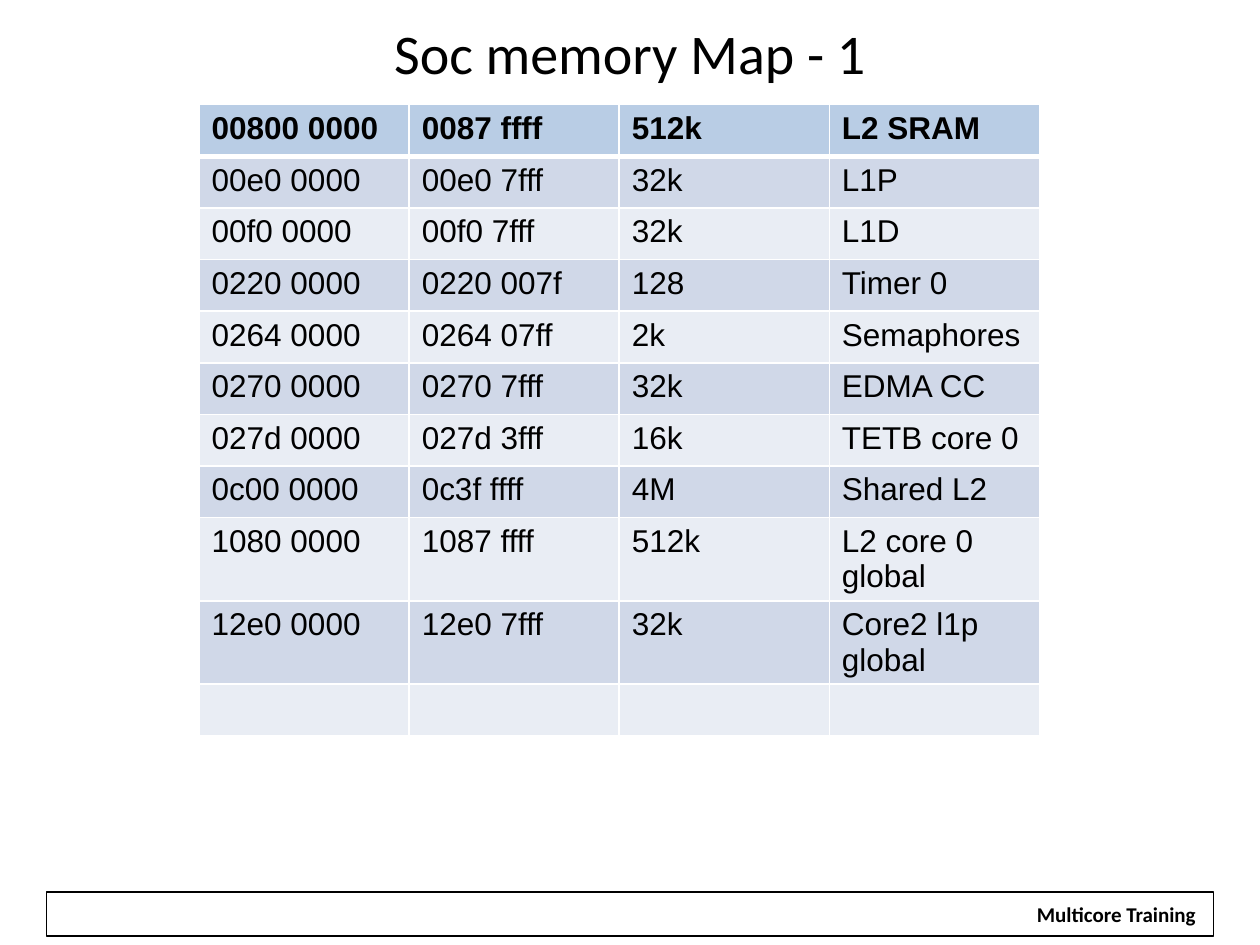
"""Build the SoC memory map slide."""
from typing import NamedTuple

from lxml.etree import SubElement
from pptx import Presentation
from pptx.dml.color import RGBColor
from pptx.enum.shapes import MSO_SHAPE
from pptx.enum.text import MSO_ANCHOR, PP_ALIGN
from pptx.oxml.ns import qn
from pptx.util import Inches, Pt

COLORS = {
    "text": "000000",
    "white": "FFFFFF",
    "header": "B9CDE5",
    "odd": "D0D8E8",
    "even": "E9EDF4",
}


class Region(NamedTuple):
    start: str
    end: str
    size: str
    name: str


REGIONS = [
    Region("00800 0000", "0087 ffff", "512k", "L2 SRAM"),
    Region("00e0 0000", "00e0 7fff", "32k", "L1P"),
    Region("00f0 0000", "00f0 7fff", "32k", "L1D"),
    Region("0220 0000", "0220 007f", "128", "Timer 0"),
    Region("0264 0000", "0264 07ff", "2k", "Semaphores"),
    Region("0270 0000", "0270 7fff", "32k", "EDMA CC"),
    Region("027d 0000", "027d 3fff", "16k", "TETB core 0"),
    Region("0c00 0000", "0c3f ffff", "4M", "Shared L2"),
    Region("1080 0000", "1087 ffff", "512k", "L2 core 0 global"),
    Region("12e0 0000", "12e0 7fff", "32k", "Core2 l1p global"),
    Region("", "", "", ""),
]


def color(name: str) -> RGBColor:
    return RGBColor.from_string(COLORS[name])


def write(frame, text: str, *, size: float, font: str = "Calibri",
          bold: bool = False, align=PP_ALIGN.LEFT) -> None:
    para = frame.paragraphs[0]
    para.alignment = align
    para.font.size = Pt(size)
    if not text:
        return
    span = para.add_run()
    span.text = text
    span.font.name = font
    span.font.size = Pt(size)
    span.font.bold = bold
    span.font.color.rgb = color("text")


def add_borders(cell, bottom: float) -> None:
    properties = cell._tc.get_or_add_tcPr()
    for side, width in {"L": 1, "R": 1, "T": 1, "B": bottom}.items():
        line = SubElement(properties, qn(f"a:ln{side}"), w=str(Pt(width)))
        fill = SubElement(line, qn("a:solidFill"))
        SubElement(fill, qn("a:srgbClr"), val=COLORS["white"])


def add_memory_table(page) -> None:
    columns = len(Region._fields)
    table = page.shapes.add_table(
        len(REGIONS), columns, Inches(1.58), Inches(0.83),
        Inches(6.67), Inches(0.41 * len(REGIONS))).table
    for column in table.columns:
        column.width = Inches(6.67 / columns)
    for index, region in enumerate(REGIONS):
        header = index == 0
        shade = "header" if header else "odd" if index % 2 else "even"
        for cell, text in zip(table.rows[index].cells, region):
            add_borders(cell, bottom=3 if index == 0 else 1)
            if index == 1:
                cell._tc.tcPr.find(qn("a:lnT")).set("w", str(Pt(3)))
            cell.fill.solid()
            cell.fill.fore_color.rgb = color(shade)
            write(cell.text_frame, text, size=18, font="Arial", bold=header)


def add_footer(page) -> None:
    bar = page.shapes.add_shape(MSO_SHAPE.RECTANGLE, Inches(0.37), Inches(7.08),
                                Inches(9.26), Inches(0.35))
    bar.shadow.inherit = False
    bar.fill.background()
    bar.line.color.rgb = color("text")
    bar.line.width = Pt(0.75)

    label = page.shapes.add_shape(MSO_SHAPE.RECTANGLE, Inches(8.12), Inches(7.11),
                                  Inches(1.48), Inches(0.3))
    label.shadow.inherit = False
    label.fill.solid()
    label.fill.fore_color.rgb = color("white")
    label.line.fill.background()
    label.text_frame.word_wrap = False
    label.text_frame.vertical_anchor = MSO_ANCHOR.TOP
    write(label.text_frame, "Multicore Training", size=12, bold=True,
          align=PP_ALIGN.CENTER)


def add_title(page) -> None:
    title = page.shapes.title
    title.left, title.top = Inches(0.5), Inches(0.08)
    title.width, title.height = Inches(9), Inches(0.67)
    title.text_frame.vertical_anchor = MSO_ANCHOR.MIDDLE
    write(title.text_frame, "Soc memory Map - 1", size=32, align=PP_ALIGN.CENTER)


def main() -> None:
    deck = Presentation()
    deck.slide_width, deck.slide_height = Inches(10), Inches(7.5)
    page = deck.slides.add_slide(deck.slide_layouts[5])
    add_footer(page)
    add_title(page)
    add_memory_table(page)
    deck.save("out.pptx")


main()
